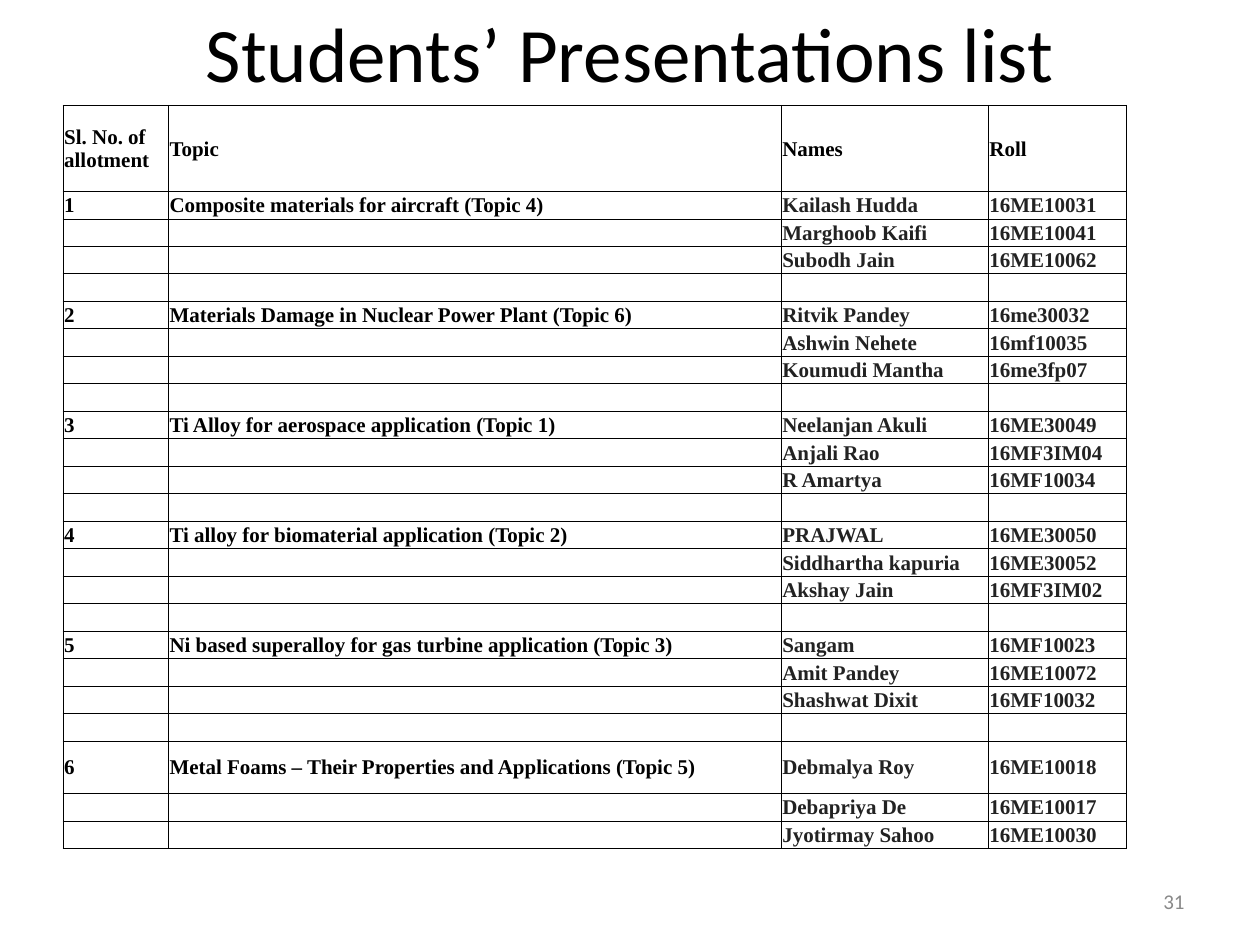
from dataclasses import dataclass

from lxml.etree import SubElement
from pptx import Presentation
from pptx.dml.color import RGBColor
from pptx.enum.text import MSO_ANCHOR as Anchor, MSO_AUTO_SIZE as AutoSize, PP_ALIGN as Align
from pptx.oxml.ns import qn
from pptx.slide import Slide
from pptx.table import _Cell as Cell
from pptx.text.text import Font, TextFrame
from pptx.util import Pt

BLACK, CHARCOAL, GREY = "000000", "222222", "898989"
TABLE_FONT, TABLE_SIZE = "Times New Roman", Pt(12)
HEADINGS = ("Sl. No. of allotment", "Topic", "Names", "Roll")
COLUMN_WIDTHS = (60.2, 350.2, 118.4, 78.8)
HEADER_HEIGHT, ROW_HEIGHT, TALL_HEIGHT = 49.2, 15.72, 30
CELL_FORMAT = {
    "margin_left": Pt(0.7), "margin_right": Pt(0.7), "margin_top": Pt(0.7),
    "margin_bottom": Pt(0), "vertical_anchor": Anchor.MIDDLE,
}


@dataclass
class Group:
    topic: str
    students: list[tuple[str, str]]
    first_height: float = ROW_HEIGHT


GROUPS = [
    Group("Composite materials for aircraft (Topic 4)",
          [("Kailash Hudda", "16ME10031"), ("Marghoob Kaifi", "16ME10041"),
           ("Subodh Jain", "16ME10062")]),
    Group("Materials Damage in Nuclear Power Plant (Topic 6)",
          [("Ritvik Pandey", "16me30032"), ("Ashwin Nehete", "16mf10035"),
           ("Koumudi Mantha", "16me3fp07")]),
    Group("Ti Alloy for aerospace application (Topic 1)",
          [("Neelanjan Akuli", "16ME30049"), ("Anjali Rao", "16MF3IM04"),
           ("R Amartya", "16MF10034")]),
    Group("Ti alloy for biomaterial application (Topic 2)",
          [("PRAJWAL", "16ME30050"), ("Siddhartha kapuria", "16ME30052"),
           ("Akshay Jain", "16MF3IM02")]),
    Group("Ni based superalloy for gas turbine application (Topic 3)",
          [("Sangam", "16MF10023"), ("Amit Pandey", "16ME10072"),
           ("Shashwat Dixit", "16MF10032")]),
    Group("Metal Foams – Their Properties and Applications (Topic 5)",
          [("Debmalya Roy", "16ME10018"), ("Debapriya De", "16ME10017"),
           ("Jyotirmay Sahoo", "16ME10030")], TALL_HEIGHT),
]


def rgb(color: str) -> RGBColor:
    return RGBColor.from_string(color)


def style_font(font: Font, name: str, size: int, color: str, bold: bool = False) -> None:
    for attribute, value in {"name": name, "size": size, "bold": bold}.items():
        setattr(font, attribute, value)
    font.color.rgb = rgb(color)


def write_line(frame: TextFrame, text: str, align: Align, size: float, color: str) -> None:
    """Fill a frame with one Calibri line, centred vertically."""
    frame.word_wrap = True
    frame.auto_size = AutoSize.NONE
    frame.vertical_anchor = Anchor.MIDDLE
    line = frame.paragraphs[0]
    line.alignment = align
    run = line.add_run()
    run.text = text
    style_font(run.font, "Calibri", Pt(size), color)


def add_borders(cell: Cell) -> None:
    properties = cell._tc.get_or_add_tcPr()
    for position, side in enumerate(("lnL", "lnR", "lnT", "lnB")):
        border = SubElement(properties, qn(f"a:{side}"), w=str(Pt(0.5)))
        fill = SubElement(border, qn("a:solidFill"))
        SubElement(fill, qn("a:srgbClr"), val=BLACK)
        properties.insert(position, border)


def fill_cell(cell: Cell, text: str, color: str) -> None:
    for attribute, value in CELL_FORMAT.items():
        setattr(cell, attribute, value)
    cell.fill.background()
    add_borders(cell)
    paragraph = cell.text_frame.paragraphs[0]
    if text:
        run = paragraph.add_run()
        run.text = text
        style_font(run.font, TABLE_FONT, TABLE_SIZE, color, bold=True)
    else:
        # An empty cell takes its line height from the paragraph end mark.
        SubElement(paragraph._p, qn("a:endParaRPr"), sz=str(int(TABLE_SIZE.pt * 100)))


def list_rows() -> list[tuple[float, tuple[str, ...]]]:
    """Heights and texts of all rows, with an empty row between groups."""
    rows = [(HEADER_HEIGHT, HEADINGS)]
    for number, group in enumerate(GROUPS, start=1):
        if number > 1:
            rows.append((ROW_HEIGHT, ("",) * len(HEADINGS)))
        for index, student in enumerate(group.students):
            if index == 0:
                rows.append((group.first_height, (str(number), group.topic, *student)))
            else:
                rows.append((ROW_HEIGHT, ("", "", *student)))
    return rows


def add_allotments(slide: Slide) -> None:
    rows = list_rows()
    frame = slide.shapes.add_table(
        len(rows), len(HEADINGS), Pt(36), Pt(60.2),
        Pt(sum(COLUMN_WIDTHS)), Pt(sum(height for height, _ in rows)))
    table = frame.table
    table.first_row = table.horz_banding = False
    for column, width in zip(table.columns, COLUMN_WIDTHS):
        column.width = Pt(width)
    for r, (height, texts) in enumerate(rows):
        table.rows[r].height = Pt(height)
        for c, text in enumerate(texts):
            fill_cell(table.cell(r, c), text, CHARCOAL if r > 0 and c > 1 else BLACK)


def main() -> None:
    deck = Presentation()
    deck.slide_width, deck.slide_height = Pt(720), Pt(540)
    slide = deck.slides.add_slide(deck.slide_layouts[5])

    title = slide.shapes.title
    title.left, title.top, title.width, title.height = Pt(36), Pt(16), Pt(648), Pt(27)
    write_line(title.text_frame, "Students’ Presentations list", Align.CENTER, 44, BLACK)

    page_number = slide.shapes.add_textbox(Pt(516), Pt(500.5), Pt(168), Pt(28.75))
    write_line(page_number.text_frame, "31", Align.RIGHT, 12, GREY)

    add_allotments(slide)
    deck.save("out.pptx")


if __name__ == "__main__":
    main()
